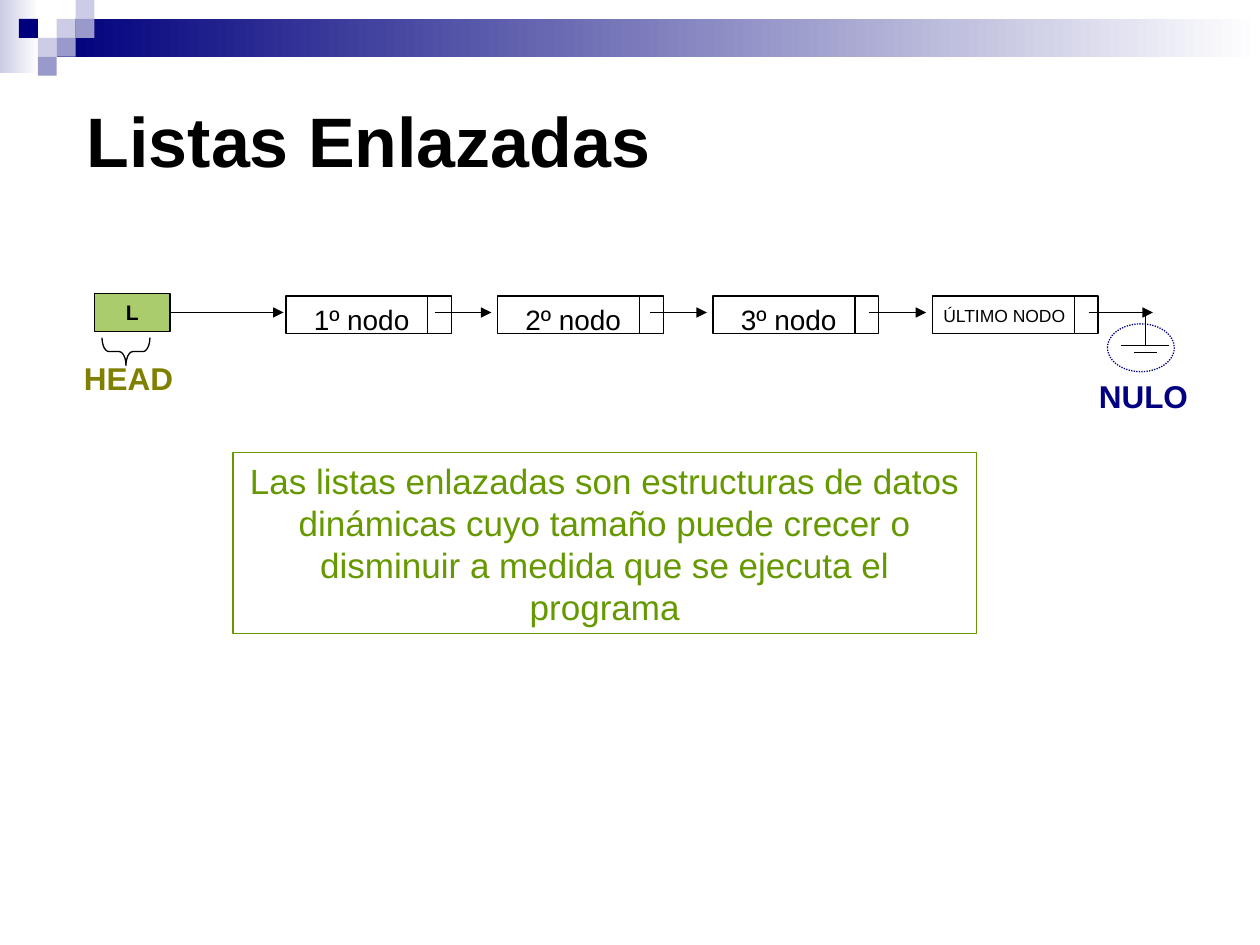
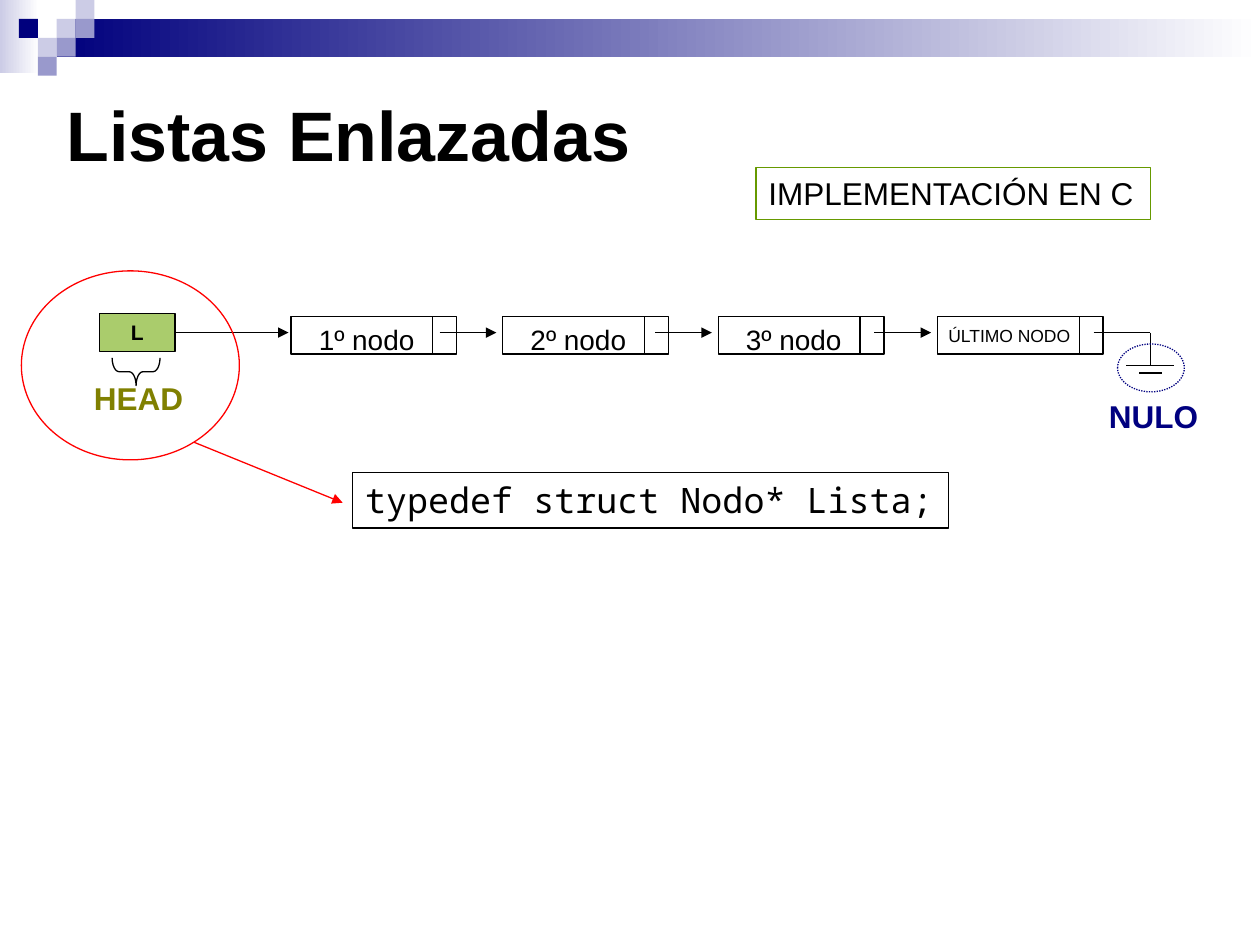
import dataclasses

import lxml.etree
import pptx
import pptx.dml.color
import pptx.enum.dml
import pptx.enum.shapes
import pptx.enum.text
import pptx.oxml.ns
import pptx.util

SHAPE = pptx.enum.shapes.MSO_SHAPE
ALIGN = pptx.enum.text.PP_ALIGN
ANCHOR = pptx.enum.text.MSO_ANCHOR
qn = pptx.oxml.ns.qn
COLS, ROWS = 100, 75
WIDE, TALL = pptx.util.Inches(10), pptx.util.Inches(7.5)


def tint(code):
    return pptx.dml.color.RGBColor.from_string(code)


@dataclasses.dataclass(frozen=True)
class Theme:
    ink = tint("000000")
    paper = tint("FFFFFF")
    navy = tint("00007D")
    lilac = tint("9999CC")
    pale = tint("CCCCE6")
    green = tint("669900")
    leaf = tint("AACC6C")
    olive = tint("808000")
    blue = tint("000080")
    red = tint("FF0000")
    sans = "Arial"
    mono = "Noto Sans Mono"
    title = 40
    body = 20
    label = 18
    node = 16
    head = 12
    small = 10
    stroke = 0.75


theme = Theme()


def across(cols):
    return round(WIDE * cols / COLS)


def down(rows):
    return round(TALL * rows / ROWS)


def place(box):
    left, top, width, height = box
    return across(left), down(top), across(width), down(height)


def within(box, left, top, width, height):
    return box[0] + left, box[1] + top, width, height


def draw(slide, box, kind=SHAPE.RECTANGLE, fill=None, line=None):
    shape = slide.shapes.add_shape(kind, *place(box))
    shape.shadow.inherit = False
    if fill is None:
        shape.fill.background()
    else:
        shape.fill.solid()
        shape.fill.fore_color.rgb = fill
    if line is None:
        shape.line.fill.background()
    else:
        shape.line.color.rgb = line
        shape.line.width = pptx.util.Pt(theme.stroke)
    return shape


def write(shape, text, size, color=theme.ink, bold=False, align=ALIGN.CENTER,
          anchor=ANCHOR.TOP, face=theme.sans, wrap=True):
    frame = shape.text_frame
    frame.word_wrap = wrap
    frame.vertical_anchor = anchor
    para = frame.paragraphs[0]
    para.text = text
    para.alignment = align
    para.font.name = face
    para.font.size = pptx.util.Pt(size)
    para.font.bold = bold
    para.font.color.rgb = color


def label(slide, box, text, size, **style):
    write(slide.shapes.add_textbox(*place(box)), text, size, **style)


def wire(slide, start, end, color=theme.ink, arrow=False, source=None):
    line = slide.shapes.add_connector(
        pptx.enum.shapes.MSO_CONNECTOR.STRAIGHT,
        across(start[0]), down(start[1]), across(end[0]), down(end[1]))
    line.line.color.rgb = color
    line.line.width = pptx.util.Pt(theme.stroke)
    props = line._element.spPr
    if arrow:
        lxml.etree.SubElement(props.find(qn("a:ln")), qn("a:tailEnd"), type="triangle")
    lxml.etree.SubElement(props, qn("a:effectLst"))
    if source is not None:
        line.begin_connect(source, 3)


def fade(slide, box, color):
    band = draw(slide, box, fill=color)
    band.fill.gradient()
    band.fill.gradient_angle = 0
    for stop, shade, spot in zip(band.fill.gradient_stops, (color, theme.paper), (0, 1)):
        stop.color.rgb = shade
        stop.position = spot


def header(slide, box):
    side = 1.5
    fade(slide, within(box, 0, 0, 3.1, 5.8), theme.pale)
    fade(slide, within(box, 3 * side, side, box[2] - 3 * side, 2 * side), theme.navy)
    tiles = ((3, 1, theme.pale), (4, 0, theme.pale), (4, 1, theme.lilac),
             (2, 2, theme.pale), (1, 1, theme.navy), (3, 2, theme.lilac),
             (2, 3, theme.lilac))
    for col, row, color in tiles:
        draw(slide, within(box, col * side, row * side, side, side), fill=color)


def title(slide, box, anchor):
    label(slide, box, "Listas Enlazadas", theme.title, bold=True,
          align=ALIGN.LEFT, anchor=anchor)


def node(slide, box, text):
    body = draw(slide, box, fill=theme.paper, line=theme.ink)
    draw(slide, within(box, 11.25, 0, 1.9, box[3]), fill=theme.paper, line=theme.ink)
    if text:
        write(body, text, theme.node)


def ground(slide, box):
    mid = box[0] + box[2] / 2
    top, base = box[1], box[1] + 2.6
    wire(slide, box[:2], (mid, top))
    wire(slide, (mid, top), (mid, base))
    for half, row in ((1.9, base), (0.9, base + 0.6)):
        wire(slide, (mid - half, row), (mid + half, row))


def head(slide, box):
    label(slide, within(box, 0, 4.7, 11.8, 3.8), "HEAD", theme.label,
          color=theme.olive, bold=True)
    brace = draw(slide, within(box, 4.6, 2.7, 2.2, 3.8), SHAPE.LEFT_BRACE, line=theme.ink)
    brace.rotation = 270
    brace.adjustments[0] = 0.25


def null(slide, box):
    label(slide, within(box, 0, 3.7, 10.7, 3.8), "NULO", theme.label,
          color=theme.blue, bold=True)
    ring = draw(slide, within(box, 2.5, 0, 5.3, 3.8), SHAPE.OVAL, line=theme.blue)
    ring.line.dash_style = pptx.enum.dml.MSO_LINE.ROUND_DOT


def chain(slide, box, shift=0):
    left, top = box[:2]
    level = top + 1.5
    start = draw(slide, within(box, 0, 0, 6, 3), fill=theme.leaf, line=theme.ink)
    write(start, "L", theme.head, bold=True)
    wire(slide, (left + 6, level), (left + 15, level), arrow=True, source=start)
    steps = (15.2, 32, 49.1, 66.5)
    for step, text in zip(steps, ("1º nodo", "2º nodo", "3º nodo", "")):
        node(slide, within(box, step, 0.2, 12, 3), text)
    for step in steps[1:]:
        tip = left + step - 0.5
        wire(slide, (tip - 4.5, level), (tip, level), arrow=True)
    label(slide, within(box, 65.3, 0.4, 13.8, 3.8), "ÚLTIMO NODO", theme.small)
    ground(slide, within(box, 78.9, 1.5, 9, 3.2))
    head(slide, within(box, shift - 3.2, 0, 11.8, 8.5))
    null(slide, within(box, shift + 77.9, 2.4, 10.7, 7.5))


def summary(slide, box):
    chain(slide, within(box, 7.5, 23.3, 85.8, 10))
    wire(slide, (86.7, 24.8), (91.5, 24.8), arrow=True)
    note = draw(slide, within(box, 18.5, 35.9, 59, 14.4), line=theme.green)
    write(note, "Las listas enlazadas son estructuras de datos dinámicas cuyo "
          "tamaño puede crecer o disminuir a medida que se ejecuta el programa",
          theme.body, color=theme.green, anchor=ANCHOR.MIDDLE)


def code(slide, box):
    tag = draw(slide, within(box, 60, 13.3, 31.3, 4.1), line=theme.green)
    write(tag, "IMPLEMENTACIÓN EN C", theme.label, align=ALIGN.LEFT, wrap=False)
    chain(slide, within(box, 7.9, 24.9, 85.8, 10), shift=0.4)
    line = draw(slide, within(box, 28, 37.5, 47.3, 4.4), line=theme.ink)
    write(line, "typedef struct Nodo* Lista;", theme.body, align=ALIGN.LEFT,
          face=theme.mono)
    draw(slide, within(box, 1.7, 21.5, 17.3, 15), SHAPE.OVAL, line=theme.red)
    wire(slide, (15.4, 35.1), (27.2, 39.9), color=theme.red, arrow=True)


def main():
    deck = pptx.Presentation()
    deck.slide_width, deck.slide_height = WIDE, TALL
    page = (0, 0, COLS, ROWS)
    pages = ((summary, (5.9, 3.6, 90, 15), ANCHOR.MIDDLE),
             (code, (4.3, 6.8, 90, 8.7), ANCHOR.TOP))
    for build, box, anchor in pages:
        slide = deck.slides.add_slide(deck.slide_layouts[6])
        header(slide, page)
        title(slide, box, anchor)
        build(slide, page)
    deck.save("out.pptx")


if __name__ == "__main__":
    main()
